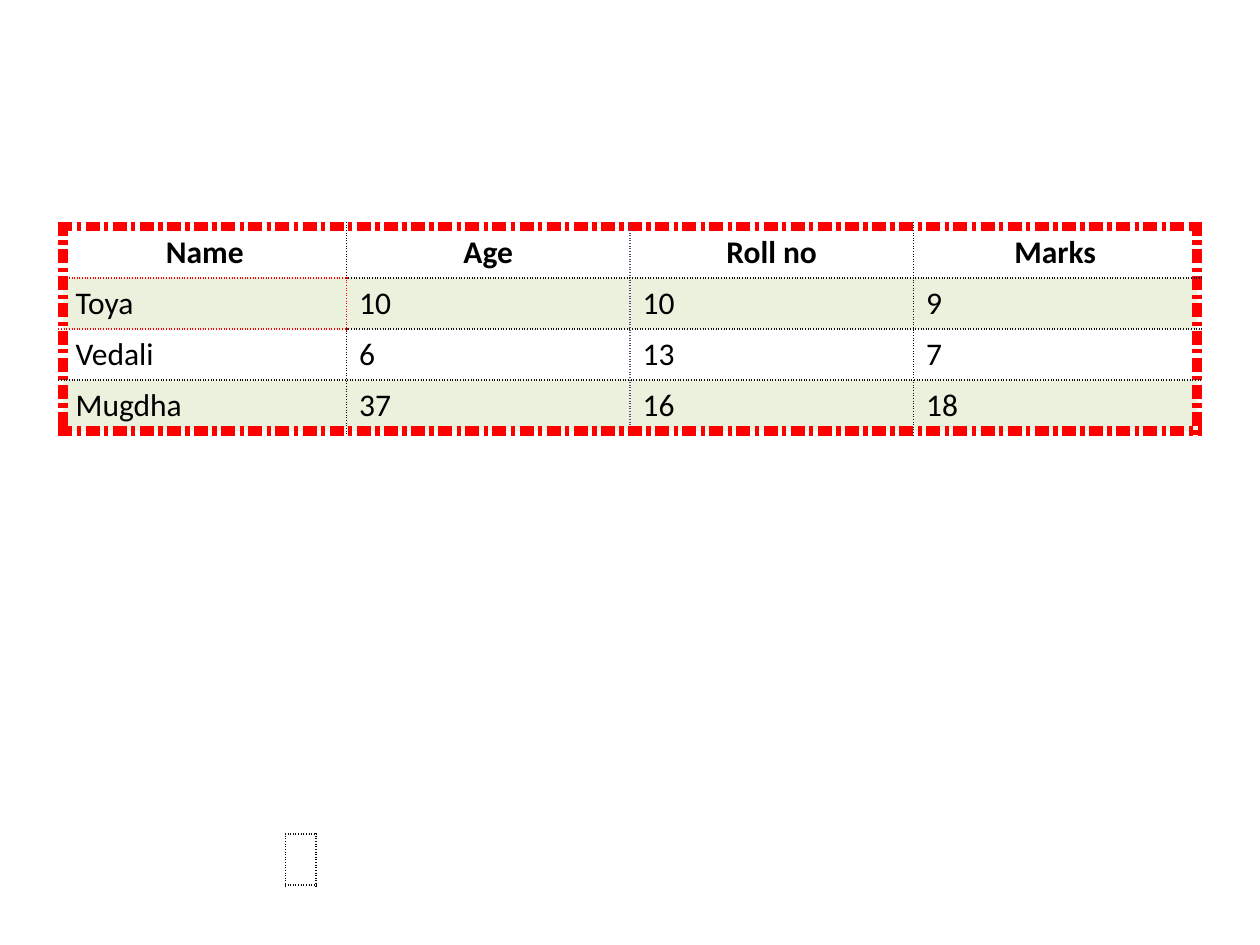
from lxml import etree
from pptx import Presentation
from pptx import util as u
from pptx.dml.color import RGBColor
from pptx.enum import text
from pptx.oxml import ns

BLACK = RGBColor(0x00, 0x00, 0x00)
DARK = RGBColor(0x0D, 0x0D, 0x0D)
PURPLE = RGBColor(0x60, 0x4A, 0x7B)
RED = RGBColor(0xFF, 0x00, 0x00)
GREEN = RGBColor(0x9B, 0xBB, 0x59)

ROWS = [
    ("Name", "Age", "Roll no", "Marks"),
    ("Toya", "10", "10", "9"),
    ("Vedali", "6", "13", "7"),
    ("Mugdha", "37", "16", "18"),
]
HIGHLIGHTED = (1, 0)
FRAME = (RED, 6, "sysDashDot")
DOTTED_DARK = (DARK, 1, "dot")
DOTTED_PURPLE = (PURPLE, 1, "dot")
DOTTED_RED = (RED, 1, "dot")
COLUMN_LINES = [FRAME, DOTTED_DARK, DOTTED_PURPLE, DOTTED_DARK, FRAME]
ROW_LINES = [FRAME, DOTTED_DARK, DOTTED_DARK, DOTTED_DARK, FRAME]
ROW_HEIGHT = u.Cm(1.03)
NO_STYLE = "{2D5ABB26-0587-4C30-8999-92F81FD0307C}"


def add_plain_table(slide, rows, columns, left, top, width):
    frame = slide.shapes.add_table(rows, columns, left, top, width, ROW_HEIGHT * rows)
    table = frame.table
    table.first_row = False
    table.horz_banding = False
    frame._element.find(".//" + ns.qn("a:tableStyleId")).text = NO_STYLE
    return table


def write(cell, words, bold=False, align=text.PP_ALIGN.LEFT, anchor=text.MSO_ANCHOR.TOP):
    cell.vertical_anchor = anchor
    paragraph = cell.text_frame.paragraphs[0]
    paragraph.alignment = align
    run = paragraph.add_run()
    run.text = words
    run.font.name = "Calibri"
    run.font.size = u.Pt(18)
    run.font.bold = bold
    run.font.color.rgb = BLACK


def fill_cell(cell, color=None, opacity=100):
    if color is None:
        cell.fill.background()
        return
    cell.fill.solid()
    cell.fill.fore_color.rgb = color
    color_element = cell._tc.tcPr.find(".//" + ns.qn("a:srgbClr"))
    etree.SubElement(color_element, ns.qn("a:alpha"), val=str(opacity * 1000))


def set_borders(cell, left, right, top, bottom):
    sides = zip("LRTB", (left, right, top, bottom))
    for index, (side, (color, points, dash)) in enumerate(sides):
        line = etree.Element(ns.qn("a:ln" + side), w=str(u.Pt(points)))
        solid = etree.SubElement(line, ns.qn("a:solidFill"))
        etree.SubElement(solid, ns.qn("a:srgbClr"), val=str(color))
        etree.SubElement(line, ns.qn("a:prstDash"), val=dash)
        cell._tc.get_or_add_tcPr().insert(index, line)


def cell_borders(row, column):
    left, right = COLUMN_LINES[column:column + 2]
    top, bottom = ROW_LINES[row:row + 2]
    highlight_row, highlight_column = HIGHLIGHTED
    if column == highlight_column:
        if row == highlight_row:
            right = top = bottom = DOTTED_RED
        elif row == highlight_row - 1:
            bottom = DOTTED_RED
        elif row == highlight_row + 1:
            top = DOTTED_RED
    elif (row, column) == (highlight_row, highlight_column + 1):
        left = DOTTED_RED
    return left, right, top, bottom


def main():
    presentation = Presentation()
    presentation.slide_width = u.Cm(25.4)
    presentation.slide_height = u.Cm(19.05)
    slide = presentation.slides.add_slide(presentation.slide_layouts[6])

    marks = add_plain_table(slide, len(ROWS), len(ROWS[0]), u.Cm(1.27), u.Cm(4.57), u.Cm(22.86))
    for row, values in enumerate(ROWS):
        for column, words in enumerate(values):
            cell = marks.cell(row, column)
            header = row == 0
            write(
                cell, words, bold=header,
                align=text.PP_ALIGN.CENTER if header else text.PP_ALIGN.LEFT,
                anchor=text.MSO_ANCHOR.MIDDLE if (row, column) == HIGHLIGHTED else text.MSO_ANCHOR.TOP,
            )
            fill_cell(cell, GREEN if row % 2 else None, opacity=20)
            set_borders(cell, *cell_borders(row, column))

    empty_table = add_plain_table(slide, 1, 1, u.Cm(5.76), u.Cm(16.81), u.Cm(0.6))
    empty_cell = empty_table.cell(0, 0)
    fill_cell(empty_cell)
    set_borders(empty_cell, *[DOTTED_DARK] * 4)

    presentation.save("out.pptx")


if __name__ == "__main__":
    main()
